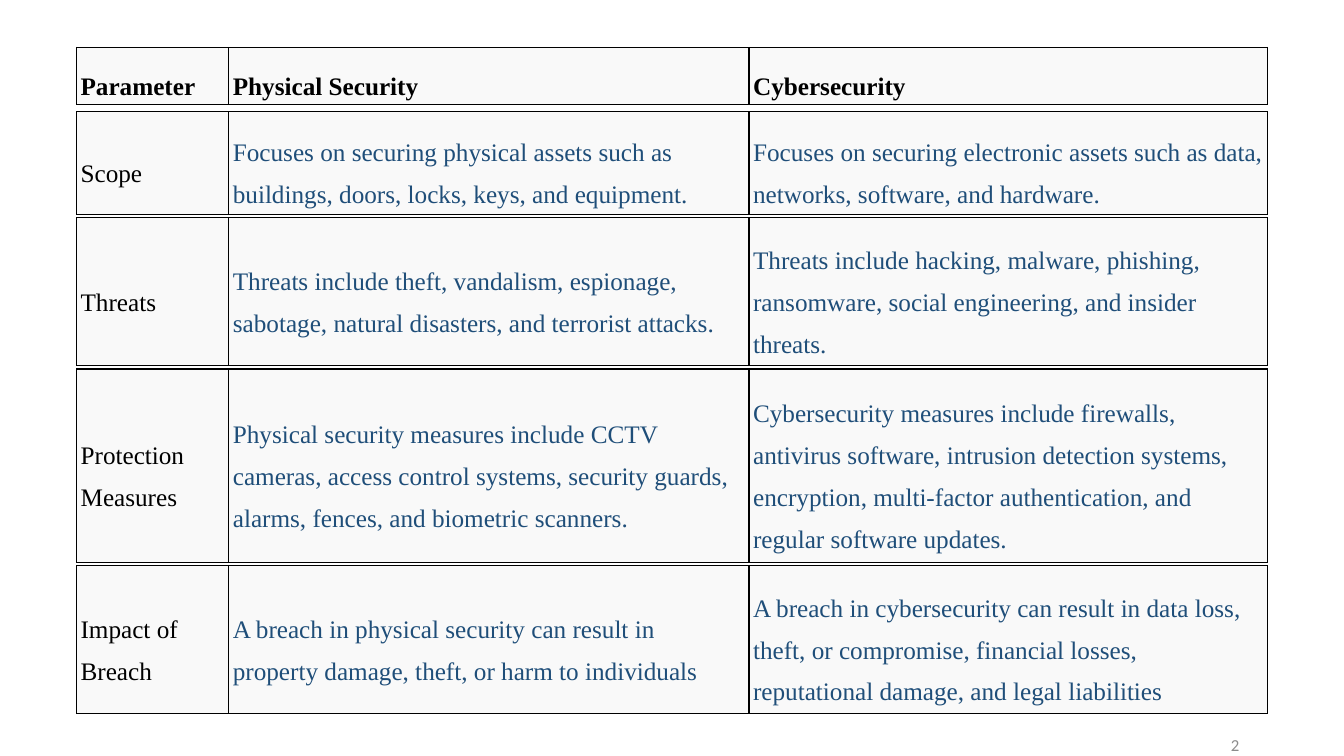
from lxml import etree
from pptx import Presentation
from pptx.dml.color import RGBColor
from pptx.enum.text import MSO_ANCHOR, PP_ALIGN
from pptx.oxml import parse_xml
from pptx.oxml.ns import qn
from pptx.util import Pt

PX = 9144
MIDDLE = MSO_ANCHOR.MIDDLE
RIGHT = PP_ALIGN.RIGHT
NAMESPACE = "http://schemas.openxmlformats.org/drawingml/2006/main"
BLACK = "000000"
BLUE = "1F4E79"
LEFT = 76
COLUMN_WIDTHS = [151, 516, 514]

TABLES = [
    (47, 45, ["Parameter", "Physical Security", "Cybersecurity"]),
    (111, 78, [
        "Scope",
        "Focuses on securing physical assets such as buildings, doors, locks, keys, and equipment.",
        "Focuses on securing electronic assets such as data, networks, software, and hardware.",
    ]),
    (216, 111, [
        "Threats",
        "Threats include theft, vandalism, espionage, sabotage, natural disasters, and terrorist attacks.",
        "Threats include hacking, malware, phishing, ransomware, social engineering, and insider threats.",
    ]),
    (366, 177, [
        "Protection Measures",
        "Physical security measures include CCTV cameras, access control systems, security guards, "
        "alarms, fences, and biometric scanners.",
        "Cybersecurity measures include firewalls, antivirus software, intrusion detection systems, "
        "encryption, multi-factor authentication, and regular software updates.",
    ]),
    (561, 111, [
        "Impact of Breach",
        "A breach in physical security can result in property damage, theft, or harm to individuals",
        "A breach in cybersecurity can result in data loss, theft, or compromise, financial losses, "
        "reputational damage, and legal liabilities",
    ]),
]


def color(value):
    return RGBColor.from_string(value)


def style_cell(cell):
    cell.fill.solid()
    cell.fill.fore_color.rgb = color("F2F2F2")
    properties = cell._tc.get_or_add_tcPr()
    fill_color = properties.find(".//" + qn("a:srgbClr"))
    etree.SubElement(fill_color, qn("a:alpha"), val="45000")
    for index, side in enumerate(["lnL", "lnR", "lnT", "lnB"]):
        border = parse_xml(
            f'<a:{side} xmlns:a="{NAMESPACE}" w="{Pt(1)}"><a:solidFill>'
            f'<a:srgbClr val="{BLACK}"/></a:solidFill></a:{side}>'
        )
        properties.insert(index, border)


presentation = Presentation()
presentation.slide_width = 1333 * PX
presentation.slide_height = 750 * PX
slide = presentation.slides.add_slide(presentation.slide_layouts[6])

number_box = slide.shapes.add_textbox(942 * PX, 711 * PX, 297 * PX, 56 * PX)
number_frame = number_box.text_frame
number_frame.word_wrap = True
number_frame.vertical_anchor = MIDDLE
paragraph = number_frame.paragraphs[0]
paragraph.text = "2"
paragraph.alignment = RIGHT
paragraph.font.name = "Calibri"
paragraph.font.size = Pt(12)
paragraph.font.color.rgb = color("8C8C8C")

for table_index, (top, height, texts) in enumerate(TABLES):
    is_header = table_index == 0
    frame = slide.shapes.add_table(
        1, len(texts), LEFT * PX, top * PX, sum(COLUMN_WIDTHS) * PX, height * PX
    )
    table = frame.table
    table.first_row = False
    table.horz_banding = False
    for column_index, text in enumerate(texts):
        table.columns[column_index].width = COLUMN_WIDTHS[column_index] * PX
        cell = table.cell(0, column_index)
        style_cell(cell)
        cell.vertical_anchor = MIDDLE
        cell.margin_left = cell.margin_right = 4 * PX
        cell.margin_top = 10 * PX
        cell.margin_bottom = 2 * PX
        paragraph = cell.text_frame.paragraphs[0]
        paragraph.text = text
        paragraph.line_spacing = 1.5
        paragraph.font.name = "Times New Roman"
        paragraph.font.size = Pt(18)
        paragraph.font.bold = is_header
        paragraph.font.color.rgb = color(BLACK if is_header or column_index == 0 else BLUE)

presentation.save("out.pptx")
